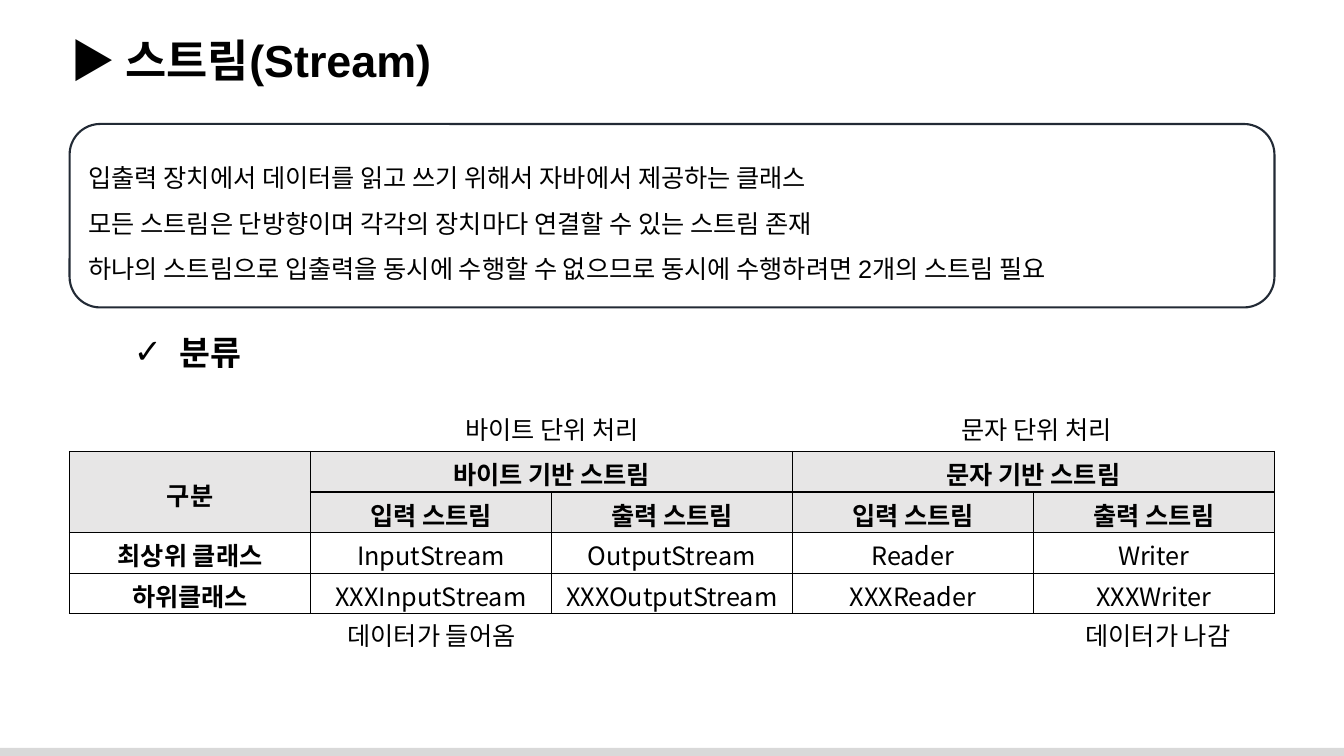
from dataclasses import dataclass

from lxml.etree import SubElement
from pptx import Presentation
from pptx.dml.color import RGBColor
from pptx.enum.shapes import MSO_SHAPE
from pptx.enum.text import MSO_ANCHOR, MSO_AUTO_SIZE, PP_ALIGN
from pptx.oxml.ns import qn
from pptx.slide import Slide
from pptx.table import _Cell
from pptx.text.text import _Paragraph
from pptx.util import Inches, Pt

HUES = {"ink": "000000", "edge": "222A35", "bar": "D9D9D9", "head": "E7E6E6", "body": "FFFFFF"}
LATIN = "Arial"
HANGUL = "Noto Sans CJK KR"


@dataclass
class Label:
    text: str
    left: float
    top: float
    width: float
    height: float
    size: int = 18
    font: str = HANGUL
    bold: bool = False
    wrap: bool = False
    align: PP_ALIGN = PP_ALIGN.CENTER
    bullet: str = ""


@dataclass
class Entry:
    row: int
    col: int
    text: str
    rows: int = 1
    cols: int = 1


LABELS = [
    Label("▶ 스트림(Stream)", 0.6, 0.28, 12.6, 0.64, 32, LATIN, True, True, PP_ALIGN.LEFT),
    Label(" 분류", 1.23, 3.24, 1.37, 0.5, 24, LATIN, True, align=PP_ALIGN.LEFT, bullet="✓"),
    Label("바이트 단위 처리", 4.4, 4.06, 2.15, 0.4),
    Label("문자 단위 처리", 9.33, 4.06, 1.9, 0.4),
    Label("데이터가 들어옴", 3.25, 6.11, 2.06, 0.4),
    Label("데이터가 나감", 10.58, 6.11, 1.81, 0.4),
]

FACTS = [
    "입출력 장치에서 데이터를 읽고 쓰기 위해서 자바에서 제공하는 클래스",
    "모든 스트림은 단방향이며 각각의 장치마다 연결할 수 있는 스트림 존재",
    "하나의 스트림으로 입출력을 동시에 수행할 수 없으므로 동시에 수행하려면 2개의 스트림 필요",
]

GRID = [
    ["입력 스트림", "출력 스트림", "입력 스트림", "출력 스트림"],
    ["최상위 클래스", "InputStream", "OutputStream", "Reader", "Writer"],
    ["하위클래스", "XXXInputStream", "XXXOutputStream", "XXXReader", "XXXWriter"],
]
ENTRIES = [
    Entry(0, 0, "구분", rows=2),
    Entry(0, 1, "바이트 기반 스트림", cols=2),
    Entry(0, 3, "문자 기반 스트림", cols=2),
] + [
    Entry(row, col, text)
    for row, line in enumerate(GRID, 1)
    for col, text in enumerate(line, 5 - len(line))
]


def hue(name: str) -> RGBColor:
    return RGBColor.from_string(HUES[name])


def write(para: _Paragraph, text: str, size: int, font: str, bold: bool = False) -> None:
    run = para.add_run()
    run.text = text
    run.font.size = Pt(size)
    run.font.name = font
    run.font.bold = bold
    run.font.color.rgb = hue("ink")
    SubElement(run.font._element, qn("a:ea"), typeface=HANGUL)


def mark(para: _Paragraph, sign: str) -> None:
    props = para._p.get_or_add_pPr()
    props.set("marL", str(Inches(0.38)))
    props.set("indent", str(-Inches(0.38)))
    SubElement(props, qn("a:buFont"), typeface=LATIN)
    SubElement(props, qn("a:buChar"), char=sign)


def draw_label(slide: Slide, label: Label) -> None:
    box = slide.shapes.add_textbox(
        Inches(label.left), Inches(label.top), Inches(label.width), Inches(label.height)
    )
    frame = box.text_frame
    frame.word_wrap = label.wrap
    frame.auto_size = MSO_AUTO_SIZE.SHAPE_TO_FIT_TEXT
    para = frame.paragraphs[0]
    para.alignment = label.align
    if label.bullet:
        mark(para, label.bullet)
    write(para, label.text, label.size, label.font, label.bold)


def draw_bar(slide: Slide) -> None:
    bar = slide.shapes.add_shape(
        MSO_SHAPE.RECTANGLE, 0, Inches(7.42), Inches(13.33), Inches(0.08)
    )
    bar.shadow.inherit = False
    bar.fill.solid()
    bar.fill.fore_color.rgb = hue("bar")
    bar.line.fill.background()


def draw_facts(slide: Slide) -> None:
    panel = slide.shapes.add_shape(
        MSO_SHAPE.ROUNDED_RECTANGLE, Inches(0.69), Inches(1.23), Inches(11.95), Inches(1.82)
    )
    panel.shadow.inherit = False
    panel.fill.background()
    panel.line.color.rgb = hue("edge")
    panel.line.width = Pt(1.5)
    frame = panel.text_frame
    frame.word_wrap = True
    frame.vertical_anchor = MSO_ANCHOR.MIDDLE
    for rank, fact in enumerate(FACTS):
        para = frame.add_paragraph() if rank else frame.paragraphs[0]
        para.alignment = PP_ALIGN.LEFT
        para.line_spacing = 1.5
        write(para, fact, 18, LATIN)


def style_cell(cell: _Cell, tint: str) -> None:
    cell.vertical_anchor = MSO_ANCHOR.MIDDLE
    cell.margin_top = Inches(0.04)
    cell.margin_bottom = 0
    props = cell._tc.get_or_add_tcPr()
    for side in ("lnL", "lnR", "lnT", "lnB"):
        line = SubElement(props, qn(f"a:{side}"), w=str(Pt(1)))
        fill = SubElement(line, qn("a:solidFill"))
        SubElement(fill, qn("a:srgbClr"), val=HUES["ink"])
    cell.fill.solid()
    cell.fill.fore_color.rgb = hue(tint)


def draw_table(slide: Slide) -> None:
    table = slide.shapes.add_table(
        4, 5, Inches(0.69), Inches(4.48), Inches(11.95), Inches(1.6)
    ).table
    for row in range(4):
        for col in range(5):
            style_cell(table.cell(row, col), "head" if row < 2 else "body")
    for item in ENTRIES:
        cell = table.cell(item.row, item.col)
        if item.rows * item.cols > 1:
            cell.merge(table.cell(item.row + item.rows - 1, item.col + item.cols - 1))
        para = cell.text_frame.paragraphs[0]
        para.alignment = PP_ALIGN.CENTER
        write(para, item.text, 18, HANGUL, item.row < 2 or item.col == 0)


def main() -> None:
    deck = Presentation()
    deck.slide_width = Inches(13.33)
    deck.slide_height = Inches(7.5)
    slide = deck.slides.add_slide(deck.slide_layouts[6])
    draw_bar(slide)
    draw_facts(slide)
    draw_table(slide)
    for label in LABELS:
        draw_label(slide, label)
    deck.save("out.pptx")


if __name__ == "__main__":
    main()
